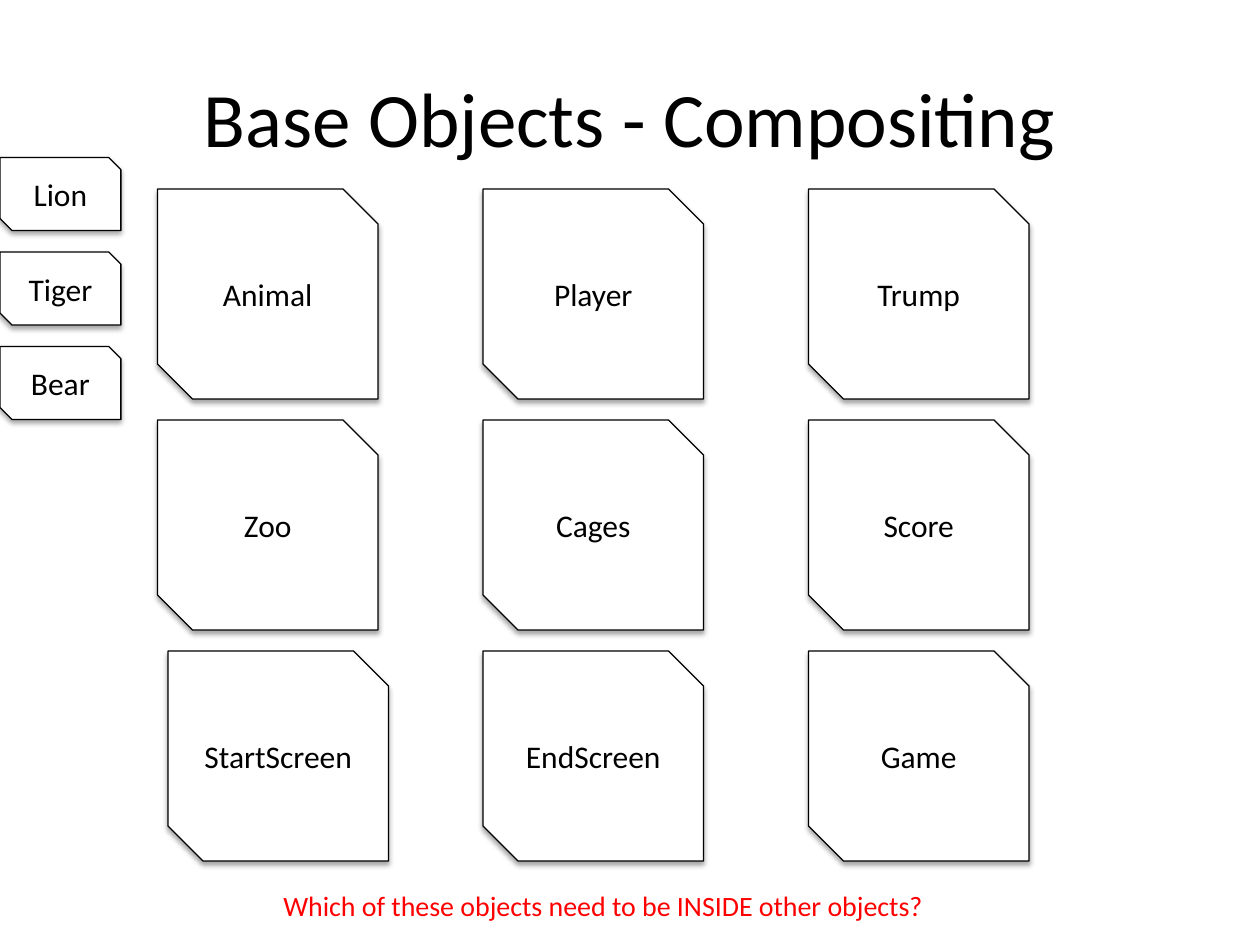
from lxml import etree
from pptx import Presentation
from pptx.dml.color import RGBColor
from pptx.enum.shapes import MSO_SHAPE
from pptx.enum.text import MSO_ANCHOR, MSO_AUTO_SIZE, PP_ALIGN
from pptx.oxml.ns import qn
from pptx.util import Inches, Pt

# Content
TITLE = "Base Objects - Compositing"
QUESTION = "Which of these objects need to be INSIDE other objects?"
OBJECTS = [
    ["Animal", "Player", "Trump"],
    ["Zoo", "Cages", "Score"],
    ["StartScreen", "EndScreen", "Game"],
]
ANIMALS = ["Lion", "Tiger", "Bear"]

# Grid, in inches
GRID_LEFT, GRID_TOP = 1.25, 1.5
COL_STEP, ROW_STEP = 31 / 12, 11 / 6
CARD_W, CARD_H = 1.75, 5 / 3
START_SCREEN_SHIFT = 1 / 12
ANIMAL_TOP, ANIMAL_STEP = 1.25, 0.75
ANIMAL_W, ANIMAL_H = 0.96, 0.58


def color(hex_code):
    return RGBColor.from_string(hex_code)


def write(frame, text, size, hex_code="000000", align=PP_ALIGN.CENTER):
    paragraph = frame.paragraphs[0]
    paragraph.alignment = align
    run = paragraph.add_run()
    run.text = text
    run.font.name = "Calibri"
    run.font.size = Pt(size)
    run.font.color.rgb = color(hex_code)


def add_shadow(shape):
    shape.shadow.inherit = False
    effects = shape._element.spPr.find(qn("a:effectLst"))
    shadow = etree.SubElement(
        effects, qn("a:outerShdw"), blurRad=str(Pt(3.1)), dist=str(Pt(1.8)),
        dir=str(90 * 60000), rotWithShape="0")
    black = etree.SubElement(shadow, qn("a:srgbClr"), val="000000")
    etree.SubElement(black, qn("a:alpha"), val="35000")


def add_card(text, left, top, width, height):
    card = slide.shapes.add_shape(
        MSO_SHAPE.SNIP_2_DIAG_RECTANGLE,
        *(Inches(length) for length in (left, top, width, height)))
    card.fill.solid()
    card.fill.fore_color.rgb = color("FFFFFF")
    card.line.color.rgb = color("000000")
    card.line.width = Pt(0.75)
    add_shadow(card)
    card.text_frame.vertical_anchor = MSO_ANCHOR.MIDDLE
    write(card.text_frame, text, 18)


prs = Presentation()
prs.slide_width, prs.slide_height = Inches(10), Inches(7.5)
slide = prs.slides.add_slide(prs.slide_layouts[5])

# Title
title = slide.shapes.title
title.left, title.top = Inches(0.5), Inches(0.3)
title.width, title.height = Inches(9), Inches(1.25)
title.text_frame.vertical_anchor = MSO_ANCHOR.MIDDLE
write(title.text_frame, TITLE, 44)

# Base objects
for row, names in enumerate(OBJECTS):
    for col, name in enumerate(names):
        shift = START_SCREEN_SHIFT if name == "StartScreen" else 0
        add_card(name, GRID_LEFT + col * COL_STEP + shift,
                 GRID_TOP + row * ROW_STEP, CARD_W, CARD_H)

# Question
question = slide.shapes.add_textbox(
    Inches(2.15), Inches(7), Inches(5.35), Inches(0.37))
question.text_frame.word_wrap = False
question.text_frame.auto_size = MSO_AUTO_SIZE.SHAPE_TO_FIT_TEXT
write(question.text_frame, QUESTION, 16, "FF0000", PP_ALIGN.LEFT)

# Kinds of animal
for i, name in enumerate(ANIMALS):
    add_card(name, 0, ANIMAL_TOP + i * ANIMAL_STEP, ANIMAL_W, ANIMAL_H)

prs.save("out.pptx")
